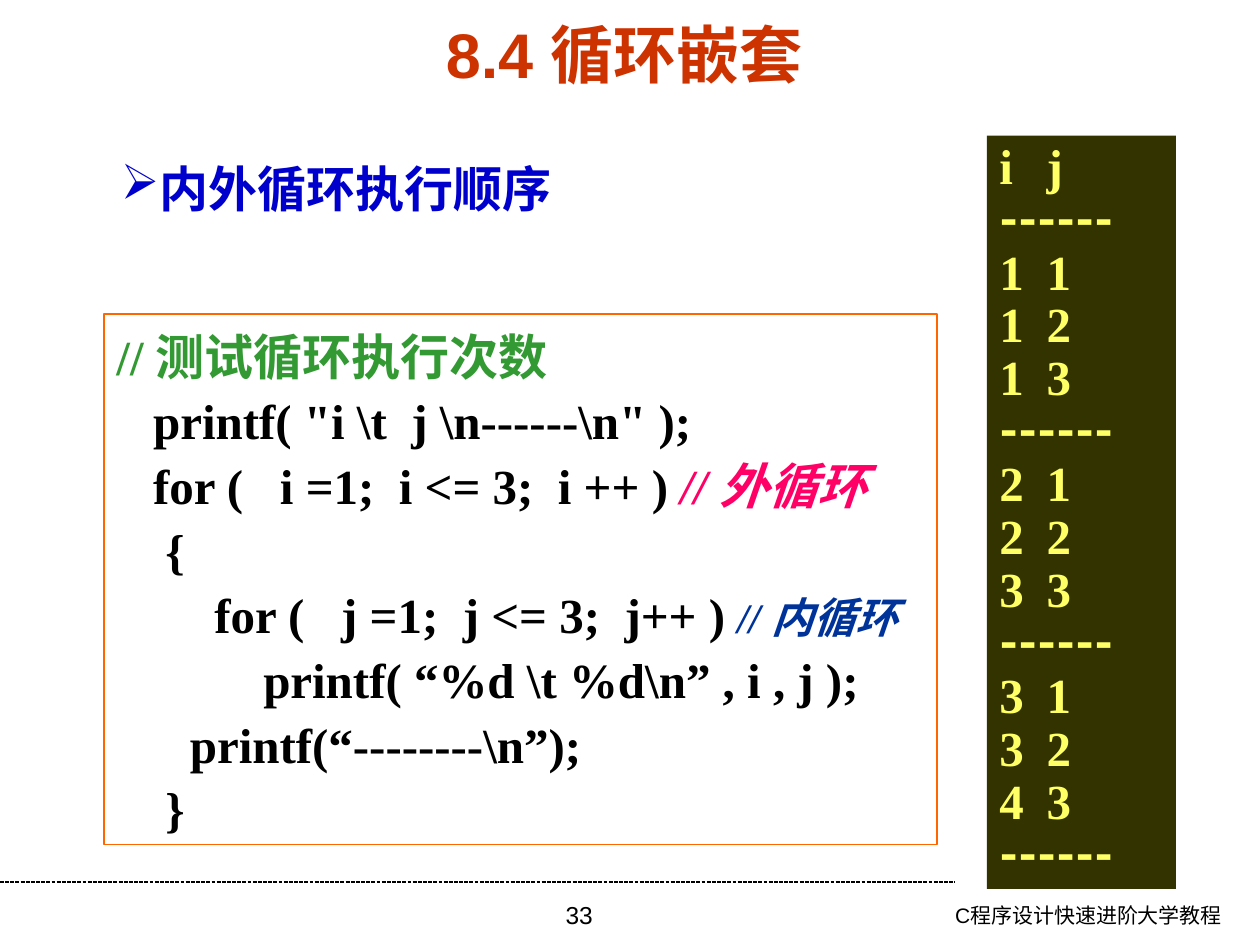
from dataclasses import dataclass

from lxml import etree
from pptx import Presentation
from pptx.dml.color import RGBColor
from pptx.enum.dml import MSO_LINE
from pptx.enum.shapes import MSO_CONNECTOR, MSO_SHAPE
from pptx.enum.text import MSO_ANCHOR, PP_ALIGN
from pptx.oxml.ns import qn
from pptx.util import Pt

RECTANGLE = MSO_SHAPE.RECTANGLE
STRAIGHT = MSO_CONNECTOR.STRAIGHT
FINE_DASH = MSO_LINE.SQUARE_DOT
LEFT, CENTER, RIGHT = PP_ALIGN.LEFT, PP_ALIGN.CENTER, PP_ALIGN.RIGHT
TOP, MIDDLE = MSO_ANCHOR.TOP, MSO_ANCHOR.MIDDLE
TITLE_ONLY = 5


@dataclass(frozen=True)
class Theme:
    sans: str = "Arial"
    serif: str = "Times New Roman"
    heading_font: str = "Noto Sans CJK SC"
    rule_font: str = "Roboto"
    title: str = "CC3300"
    heading: str = "0000CC"
    text: str = "000000"
    paper: str = "FFFFFF"
    code_border: str = "FF6600"
    comment: str = "339933"
    outer_loop: str = "FF0066"
    inner_loop: str = "003399"
    output_fill: str = "333300"
    output_text: str = "FFFF66"
    title_size: int = 36
    body_size: int = 28
    small_comment_size: int = 24
    page_size: int = 14
    footer_size: int = 12


THEME = Theme()
RULE = "------"
OUTPUT_GROUPS = [(["1\t1", "1\t2"], 1), (["2\t1", "2\t2"], 3), (["3\t1", "3\t2"], 3)]
CODE_LINES = [
    [("// 测试循环执行次数", THEME.comment)],
    [('   printf( "i \\t  j \\n------\\n" );', THEME.text)],
    [("   for (   i =1;  i <= 3;  i ++ ) ", THEME.text), ("// 外循环", THEME.outer_loop)],
    [("    {", THEME.text)],
    [("        for (   j =1;  j <= 3;  j++ ) ", THEME.text), ("// 内循环", THEME.inner_loop)],
    [("            printf( “%d \\t %d\\n” , i , j );", THEME.text)],
    [("      printf(“--------\\n”);", THEME.text)],
    [("    }", THEME.text)],
]


def style(font, name, size, color, bold=False):
    font.name = name
    font.size = Pt(size)
    font.bold = bold
    font.color.rgb = RGBColor.from_string(color)


def add_bullet(paragraph, color, tag, **attributes):
    properties = paragraph._p.get_or_add_pPr()
    bullet_color = etree.SubElement(properties, qn("a:buClr"))
    etree.SubElement(bullet_color, qn("a:srgbClr"), val=color)
    etree.SubElement(properties, qn(tag), **attributes)


def add_label(slide, box, text, name, size, color, align=LEFT):
    """Add a one-paragraph text box and return its paragraph."""
    frame = slide.shapes.add_textbox(*map(Pt, box)).text_frame
    frame.word_wrap = True
    paragraph = frame.paragraphs[0]
    paragraph.text = text
    paragraph.alignment = align
    style(paragraph.font, name, size, color)
    return paragraph


def add_panel(slide, box, fill):
    panel = slide.shapes.add_shape(RECTANGLE, *map(Pt, box))
    panel.shadow.inherit = False
    panel.fill.solid()
    panel.fill.fore_color.rgb = RGBColor.from_string(fill)
    panel.line.fill.background()
    panel.text_frame.word_wrap = True
    panel.text_frame.vertical_anchor = TOP
    return panel


def add_lines(frame, count, spacing):
    """Yield count left-aligned paragraphs of the frame."""
    for index in range(count):
        paragraph = frame.add_paragraph() if index else frame.paragraphs[0]
        paragraph.alignment = LEFT
        paragraph.line_spacing = spacing
        yield paragraph


def place_title(slide, box):
    title = slide.shapes.title
    title.left, title.top, title.width, title.height = map(Pt, box)
    title.text_frame.vertical_anchor = MIDDLE
    paragraph = title.text_frame.paragraphs[0]
    paragraph.text = "8.4 循环嵌套"
    paragraph.alignment = CENTER
    paragraph.line_spacing = 0.9
    style(paragraph.font, THEME.sans, THEME.title_size, THEME.title, True)


def add_heading(slide, box):
    heading = add_label(slide, box, "内外循环执行顺序", THEME.heading_font,
                        THEME.body_size, THEME.heading)
    heading.line_spacing = 1.3
    add_bullet(heading, THEME.heading, "a:buChar", char="➢")
    heading.font.bold = True


def add_code(slide, box):
    panel = add_panel(slide, box, THEME.paper)
    panel.line.color.rgb = RGBColor.from_string(THEME.code_border)
    panel.line.width = Pt(0.75)
    paragraphs = add_lines(panel.text_frame, len(CODE_LINES), 1.1)
    for paragraph, pieces in zip(paragraphs, CODE_LINES):
        for text, color in pieces:
            run = paragraph.add_run()
            run.text = text
            inner = color == THEME.inner_loop
            size = THEME.small_comment_size if inner else THEME.body_size
            style(run.font, THEME.serif, size, color, True)
            run.font.italic = inner or color == THEME.outer_loop


def add_output(slide, box):
    """Show the program output; the last row of each group is auto-numbered."""
    panel = add_panel(slide, box, THEME.output_fill)
    rows = [("i\tj", None), (RULE, None)]
    for pairs, start in OUTPUT_GROUPS:
        rows += [(pair, None) for pair in pairs] + [("3", start), (RULE, None)]
    paragraphs = add_lines(panel.text_frame, len(rows), 0.9)
    for paragraph, (text, start) in zip(paragraphs, rows):
        paragraph.text = text
        properties = paragraph._p.get_or_add_pPr()
        properties.set("marL", str(Pt(27)))
        properties.set("indent", str(Pt(-27)))
        if start:
            add_bullet(paragraph, THEME.output_text, "a:buAutoNum",
                       type="arabicPlain", startAt=str(start))
        name = THEME.rule_font if text == RULE else THEME.serif
        style(paragraph.font, name, THEME.body_size, THEME.output_text, True)


def add_footer(slide, box):
    left, top, width, _ = box
    divider = slide.shapes.add_connector(
        STRAIGHT, Pt(left), Pt(top), Pt(left + 546), Pt(top))
    divider.line.color.rgb = RGBColor.from_string(THEME.text)
    divider.line.width = Pt(0.75)
    divider.line.dash_style = FINE_DASH
    etree.SubElement(divider._element.spPr, qn("a:effectLst"))
    add_label(slide, (left + 247, top + 6.5, 168, 29.5), "33",
              THEME.sans, THEME.page_size, THEME.text, CENTER)
    add_label(slide, (left + width - 247, top + 8, 232.5, 28), "C程序设计快速进阶大学教程",
              THEME.sans, THEME.footer_size, THEME.text, RIGHT)


def main():
    deck = Presentation()
    deck.slide_width, deck.slide_height = Pt(720), Pt(540)
    slide = deck.slides.add_slide(deck.slide_layouts[TITLE_ONLY])
    add_footer(slide, (0, 504, 720, 36))
    add_heading(slide, (62, 77, 658, 95))
    add_code(slide, (59.5, 179.5, 476, 303))
    add_output(slide, (564, 77.5, 108, 430.5))
    place_title(slide, (31, 15, 651.5, 36))
    deck.save("out.pptx")


if __name__ == "__main__":
    main()
